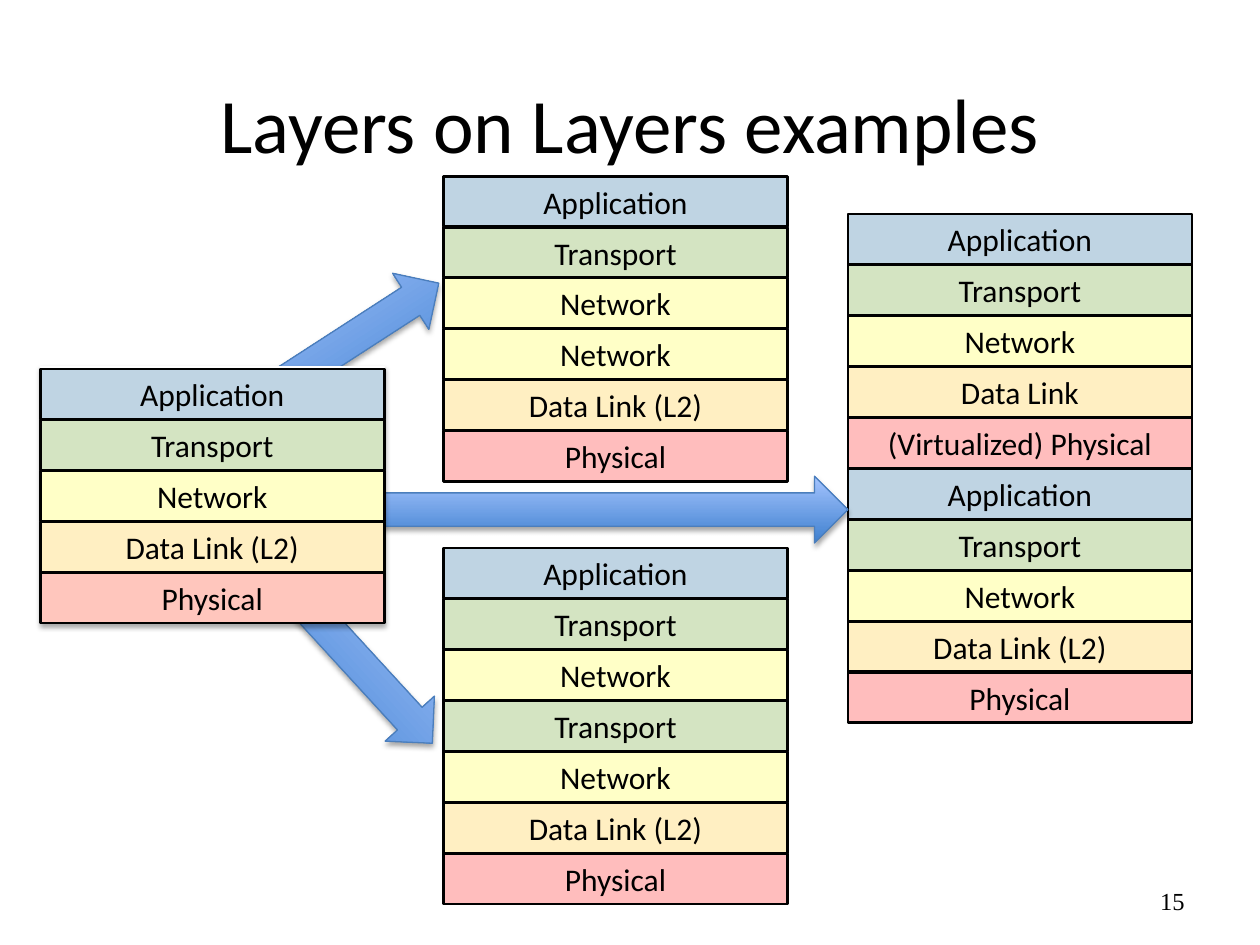
from dataclasses import dataclass

import pptx
import pptx.dml.color
import pptx.enum.shapes
import pptx.enum.text
import pptx.oxml.ns
import pptx.util
from lxml import etree

Inches = pptx.util.Inches
Pt = pptx.util.Pt
RGBColor = pptx.dml.color.RGBColor
Shapes = pptx.enum.shapes.MSO_SHAPE
Align = pptx.enum.text.PP_ALIGN
Anchor = pptx.enum.text.MSO_ANCHOR
qn = pptx.oxml.ns.qn

BLACK = RGBColor(0x00, 0x00, 0x00)
WHITE = RGBColor(0xFF, 0xFF, 0xFF)
BLUE = RGBColor(0x00, 0x54, 0x93)
GREEN = RGBColor(0x4E, 0x8F, 0x00)
YELLOW = RGBColor(0xFF, 0xFF, 0x00)
ORANGE = RGBColor(0xFF, 0xC0, 0x00)
RED = RGBColor(0xFF, 0x00, 0x00)
VERMILION = RGBColor(0xFF, 0x26, 0x00)
ARROW_DARK = RGBColor(0x3F, 0x80, 0xCE)
ARROW_LIGHT = RGBColor(0xA4, 0xC4, 0xFF)
ARROW_LINE = RGBColor(0x4B, 0x7E, 0xBC)

LAYER_WIDTH = 2.73
LAYER_HEIGHT = 0.4
LAYER_PITCH = 0.404
ARROW_HEIGHT = 0.53


@dataclass(frozen=True)
class Layer:
    label: str
    color: RGBColor
    opacity: int


@dataclass(frozen=True)
class Stack:
    left: float
    top: float
    layers: tuple[Layer, ...]


@dataclass(frozen=True)
class Arrow:
    left: float
    top: float
    width: float
    rotation: float = 0


APPLICATION = Layer("Application", BLUE, 25)
TRANSPORT = Layer("Transport", GREEN, 24)
NETWORK = Layer("Network", YELLOW, 22)
DATA_LINK = Layer("Data Link (L2)", ORANGE, 24)
PHYSICAL = Layer("Physical", RED, 26)
UPPER = (APPLICATION, TRANSPORT, NETWORK)
LOWER = (DATA_LINK, PHYSICAL)

BASE_STACK = Stack(0.32, 2.93, UPPER + (DATA_LINK, Layer("Physical", VERMILION, 26)))
EXAMPLE_STACKS = (
    Stack(3.52, 1.4, UPPER + (NETWORK,) + LOWER),
    Stack(6.73, 1.7, UPPER
          + (Layer("Data Link", ORANGE, 24), Layer("(Virtualized) Physical", RED, 26))
          + UPPER + LOWER),
    Stack(3.52, 4.35, UPPER + (TRANSPORT, NETWORK) + LOWER),
)
ARROWS = (
    Arrow(1.9, 2.45, 1.72, 327.1),
    Arrow(1.99, 5, 1.72, 47.5),
    Arrow(2.86, 3.78, 3.87),
)


def set_opacity(parent, percent: int) -> None:
    """Set the opacity of the first RGB colour found below parent."""
    color = parent.find(".//" + qn("a:srgbClr"))
    etree.SubElement(color, qn("a:alpha"), val=str(percent * 1000))


def add_drop_shadow(shape) -> None:
    shape.shadow.inherit = False
    effects = shape._element.spPr.find(qn("a:effectLst"))
    shadow = etree.SubElement(
        effects, qn("a:outerShdw"), blurRad=str(Pt(3.1)), dist=str(Pt(1.8)),
        dir="5400000", rotWithShape="0")
    etree.SubElement(shadow, qn("a:srgbClr"), val=str(BLACK))
    set_opacity(effects, 35)


def add_layer(page, layer: Layer, left: float, top: float) -> None:
    box = page.shapes.add_shape(Shapes.RECTANGLE, Inches(left), Inches(top),
                                Inches(LAYER_WIDTH), Inches(LAYER_HEIGHT))
    box.shadow.inherit = False
    box.fill.solid()
    box.fill.fore_color.rgb = layer.color
    set_opacity(box._element.spPr, layer.opacity)
    box.line.color.rgb = BLACK
    box.line.width = Pt(1.5)
    frame = box.text_frame
    frame.text = layer.label
    frame.word_wrap = True
    frame.auto_size = pptx.enum.text.MSO_AUTO_SIZE.SHAPE_TO_FIT_TEXT
    format_paragraph(frame.paragraphs[0], Align.CENTER, "Calibri", 18)


def add_stack(page, stack: Stack) -> None:
    for row, layer in enumerate(stack.layers):
        add_layer(page, layer, stack.left, stack.top + row * LAYER_PITCH)


def add_arrow(page, arrow: Arrow) -> None:
    shape = page.shapes.add_shape(Shapes.RIGHT_ARROW, Inches(arrow.left), Inches(arrow.top),
                                  Inches(arrow.width), Inches(ARROW_HEIGHT))
    shape.rotation = arrow.rotation
    shape.fill.gradient()
    shape.fill.gradient_angle = 90
    for stop, position, color in zip(shape.fill.gradient_stops, (0, 1),
                                     (ARROW_DARK, ARROW_LIGHT)):
        stop.position = position
        stop.color.rgb = color
    shape.line.color.rgb = ARROW_LINE
    shape.line.width = Pt(0.75)
    add_drop_shadow(shape)


def add_backing(page) -> None:
    """Hide the arrow tails behind the base stack."""
    backing = page.shapes.add_shape(Shapes.RECTANGLE, Inches(BASE_STACK.left), Inches(2.91),
                                    Inches(LAYER_WIDTH), Inches(2.04))
    backing.fill.solid()
    backing.fill.fore_color.rgb = WHITE
    backing.line.color.rgb = WHITE
    backing.line.width = Pt(0.75)
    add_drop_shadow(backing)


def format_paragraph(para, alignment, font_name: str, size: float) -> None:
    para.alignment = alignment
    para.font.name = font_name
    para.font.size = Pt(size)
    para.font.color.rgb = BLACK


def add_title(page) -> None:
    title = page.shapes.title
    title.left, title.top = Inches(0.5), Inches(0.35)
    title.width, title.height = Inches(9), Inches(1.25)
    title.text_frame.text = "Layers on Layers examples"
    title.text_frame.vertical_anchor = Anchor.MIDDLE
    format_paragraph(title.text_frame.paragraphs[0], Align.CENTER, "Calibri", 44)


def add_page_number(page) -> None:
    box = page.shapes.add_textbox(Inches(7.17), Inches(6.95), Inches(2.33), Inches(0.4))
    box.text_frame.word_wrap = True
    box.text_frame.vertical_anchor = Anchor.MIDDLE
    box.text_frame.text = "15"
    format_paragraph(box.text_frame.paragraphs[0], Align.RIGHT, "Times New Roman", 14)


def main() -> None:
    deck = pptx.Presentation()
    deck.slide_width, deck.slide_height = Inches(10), Inches(7.5)
    page = deck.slides.add_slide(deck.slide_layouts.get_by_name("Title Only"))
    add_title(page)
    for stack in EXAMPLE_STACKS:
        add_stack(page, stack)
    for arrow in ARROWS:
        add_arrow(page, arrow)
    add_backing(page)
    add_stack(page, BASE_STACK)
    add_page_number(page)
    deck.save("out.pptx")


if __name__ == "__main__":
    main()
